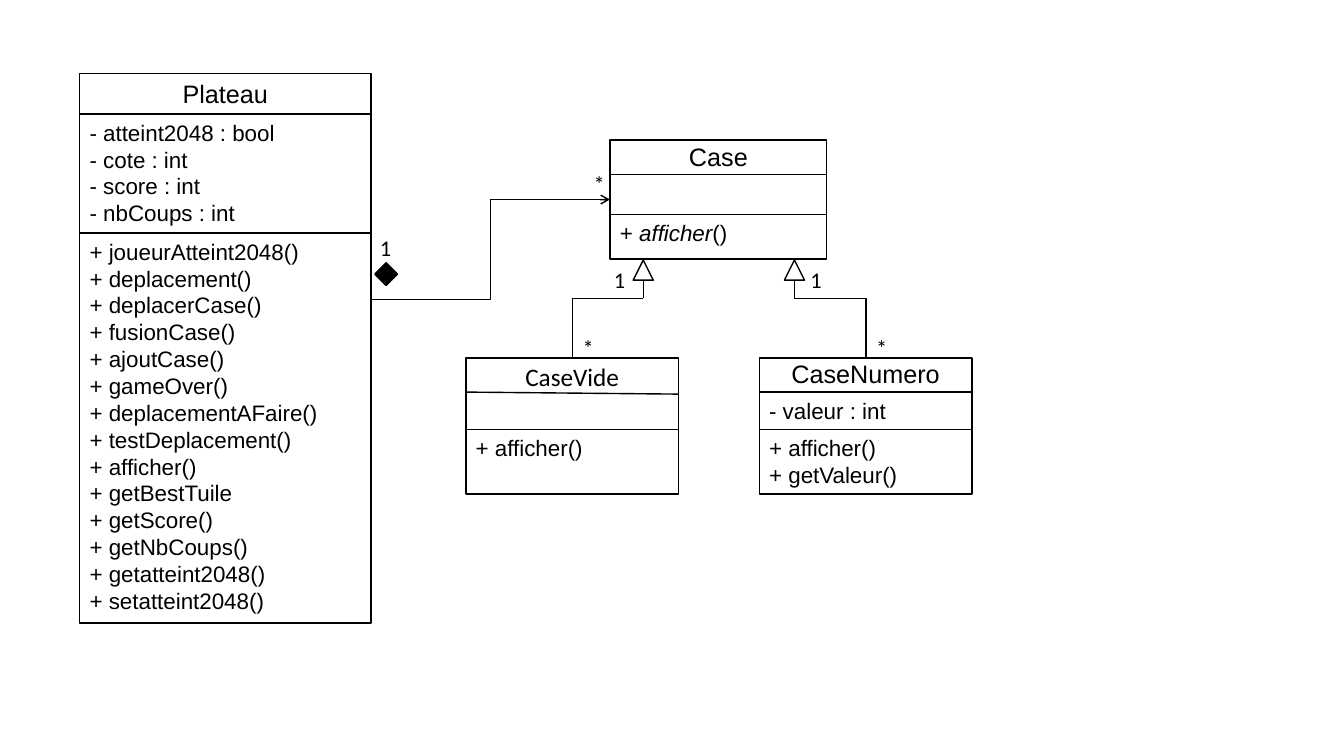
from dataclasses import dataclass
from pptx import Presentation, util as u
from pptx.dml import color
from pptx.enum import shapes, text
from pptx.oxml import ns, xmlchemy


@dataclass(frozen=True)
class Theme:
    ink: color.RGBColor = color.RGBColor(0, 0, 0)
    paper: color.RGBColor = color.RGBColor(255, 255, 255)
    body_font: str = "Arial"
    label_font: str = "Calibri"
    name_size: int = 18
    member_size: int = 16
    stroke: int = 1
    row: float = 0.27
    padding: float = 0.1


class ClassDiagram:
    """Draws UML elements on one slide in a shared style."""

    def __init__(self, slide, theme):
        self.shapes = slide.shapes
        self.theme = theme

    def apply(self, target, values):
        for key, value in values.items():
            setattr(target, key, value)

    def outline(self, line):
        line.color.rgb = self.theme.ink
        line.width = u.Pt(self.theme.stroke)

    def block(self, kind, left, top, width, height, fill, rotation=0):
        block = self.shapes.add_shape(kind, *map(u.Inches, (left, top, width, height)))
        block.shadow.inherit = False
        block.rotation = rotation
        block.fill.solid()
        block.fill.fore_color.rgb = fill
        self.outline(block.line)

    def link(self, start, end, kind=shapes.MSO_CONNECTOR.STRAIGHT, arrow=False):
        link = self.shapes.add_connector(kind, *map(u.Inches, (*start, *end)))
        self.outline(link.line)
        properties = link.element.spPr
        if arrow:
            head = xmlchemy.OxmlElement("a:tailEnd")
            head.set("type", "arrow")
            properties.find(ns.qn("a:ln")).append(head)
        properties.append(xmlchemy.OxmlElement("a:effectLst"))

    def words(self, left, top, width, height, rows, size, font, align=text.PP_ALIGN.LEFT):
        frame = self.shapes.add_textbox(*map(u.Inches, (left, top, width, height))).text_frame
        frame.word_wrap = True
        for index, row in enumerate(rows):
            paragraph = frame.paragraphs[0] if index == 0 else frame.add_paragraph()
            paragraph.alignment = align
            for part, italic in row:
                run = paragraph.add_run()
                run.text = part
                self.apply(run.font, {"size": u.Pt(size), "name": font, "italic": italic})
                run.font.color.rgb = self.theme.ink

    def members(self, left, top, width, rows):
        theme = self.theme
        parts = [[(row, False)] if isinstance(row, str) else row for row in rows]
        height = len(rows) * theme.row + theme.padding
        self.words(left, top, width, height, parts, theme.member_size, theme.body_font)

    def label(self, left, top, mark):
        self.words(left, top, 0.32, 0.37, [[(mark, False)]],
                   self.theme.member_size, self.theme.label_font)

    def class_box(self, name, bounds, name_top, name_width, dividers, attributes, methods,
                  member_width, font=None, slope=0):
        left, top, width, height = bounds
        right = left + width
        attribute_top, method_top = dividers
        self.block(shapes.MSO_SHAPE.RECTANGLE, *bounds, self.theme.paper)
        self.link((left, attribute_top), (right, attribute_top + slope))
        self.link((left, method_top), (right, method_top))
        self.words(left + (width - name_width) / 2, name_top, name_width, 0.4,
                   [[(name, False)]], self.theme.name_size, font or self.theme.body_font,
                   text.PP_ALIGN.CENTER)
        if attributes:
            self.members(left, attribute_top, member_width, attributes)
        self.members(left, method_top, member_width, methods)

    def inheritance(self, child, parent, one_left):
        bend, child_top, tip, side = 2.96, 3.55, 2.58, 0.2
        route = [(child, child_top), (child, bend), (parent, bend), (parent, tip + side)]
        for start, end in zip(route, route[1:]):
            self.link(start, end)
        self.block(shapes.MSO_SHAPE.ISOSCELES_TRIANGLE, parent - side / 2, tip, side, side,
                   self.theme.paper)
        self.label(one_left, 2.59, "1")
        self.label(child, 3.27, "*")

    def composition(self, start, end):
        self.link(start, end, shapes.MSO_CONNECTOR.ELBOW, arrow=True)
        self.block(shapes.MSO_SHAPE.RECTANGLE, 3.75, 2.64, 0.16, 0.16, self.theme.ink, 45)
        self.label(3.67, 2.27, "1")
        self.label(5.79, 1.64, "*")


def main():
    deck = Presentation()
    deck.slide_width, deck.slide_height = u.Inches(13.33), u.Inches(7.5)
    theme = Theme()
    diagram = ClassDiagram(deck.slides.add_slide(deck.slide_layouts[6]), theme)

    diagram.class_box(
        "Case", (6.05, 1.39, 2.15, 1.18), 1.35, 0.79, (1.73, 2.13), [],
        [[("+ ", False), ("afficher", True), ("()", False)]], 1.28)
    diagram.class_box(
        "CaseVide", (4.62, 3.55, 2.11, 1.35), 3.54, 1.14, (3.89, 4.26), [],
        ["+ afficher()"], 1.28, theme.label_font, 0.02)
    diagram.class_box(
        "CaseNumero", (7.53, 3.55, 2.11, 1.35), 3.51, 1.69, (3.89, 4.26),
        ["- valeur : int"], ["+ afficher()", "+ getValeur()"], 1.49)
    diagram.class_box(
        "Plateau", (0.79, 0.73, 2.89, 5.45), 0.73, 1.06, (1.13, 2.31),
        ["- atteint2048 : bool", "- cote : int", "- score : int", "- nbCoups : int"],
        ["+ joueurAtteint2048()", "+ deplacement()", "+ deplacerCase()", "+ fusionCase()",
         "+ ajoutCase()", "+ gameOver()", "+ deplacementAFaire()", "+ testDeplacement()",
         "+ afficher()", "+ getBestTuile", "+ getScore()", "+ getNbCoups()",
         "+ getatteint2048()", "+ setatteint2048()"], 2.49)

    diagram.inheritance(child=8.59, parent=7.88, one_left=7.94)
    diagram.inheritance(child=5.68, parent=6.38, one_left=5.99)
    diagram.composition((3.68, 2.97), (6.05, 1.98))
    deck.save("out.pptx")


if __name__ == "__main__":
    main()
